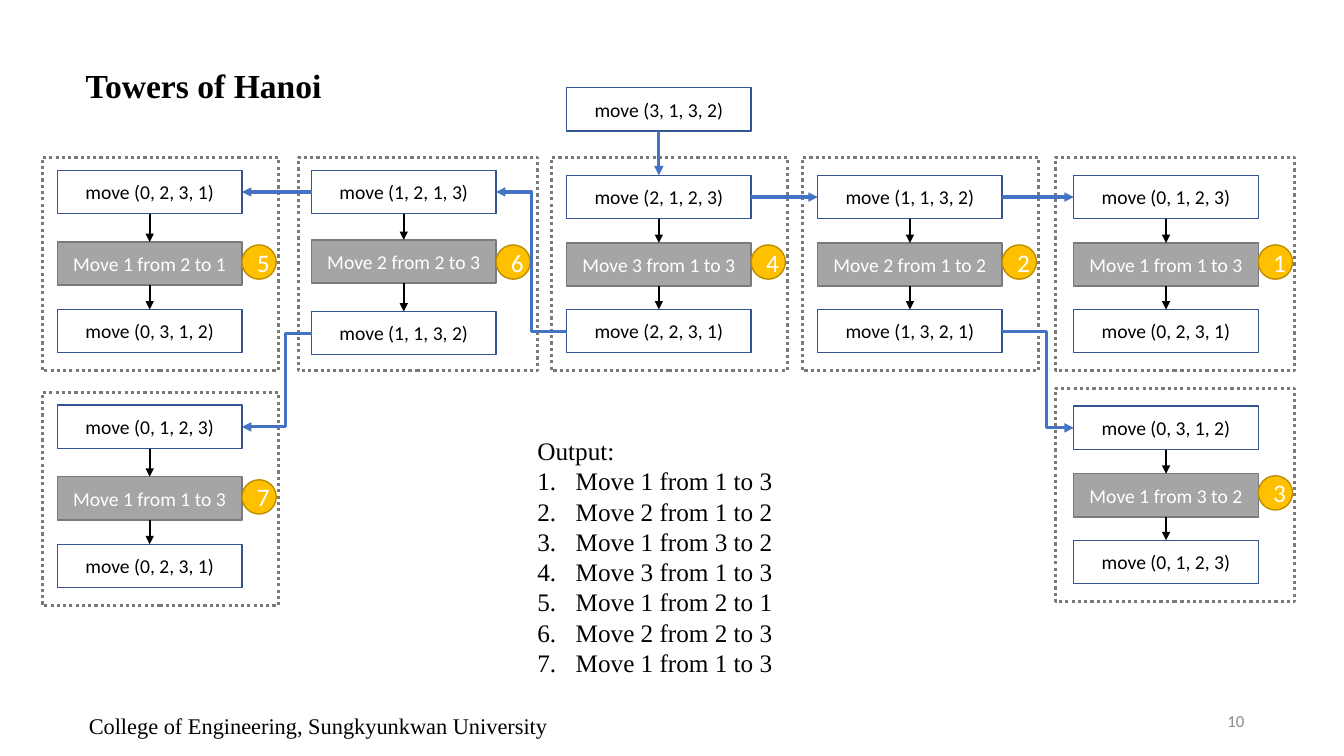
from dataclasses import dataclass
from pptx import Presentation
from pptx.dml.color import RGBColor as RGB
from pptx.enum.dml import MSO_LINE
from pptx.enum.shapes import MSO_CONNECTOR as CXN, MSO_SHAPE as SHAPE
from pptx.enum.text import MSO_ANCHOR as ANCHOR, MSO_AUTO_SIZE as FIT, PP_ALIGN as ALIGN
from pptx.oxml.ns import qn
from pptx.util import Inches, Pt


@dataclass(frozen=True)
class Theme:
    serif: str = "Times New Roman"
    sans: str = "Calibri"
    black: str = "000000"
    white: str = "FFFFFF"
    blue: str = "4472C4"
    navy: str = "325491"
    gray: str = "A5A5A5"
    dark_gray: str = "7A7A7A"
    page_gray: str = "8C8C8C"
    gold: str = "FFC000"
    dark_gold: str = "BD8E00"
    title: int = 24
    body: int = 18
    footer: int = 16
    box: int = 14
    page: int = 12


T = Theme()
TOP, LEFT, BOTTOM, RIGHT = range(4)  # connection sites of a rectangle
BOX_W, BOX_H = 1.83, 0.43
FRAME_H, BADGE, BADGE_DROP = 2.12, 0.34, 0.87


def apply(obj, values):
    for name, value in values.items():
        setattr(obj, name, value)


class SlideBuilder:
    def __init__(self, slide, theme):
        self.s, self.t = slide, theme

    def add_text(self, p, text, size, color, font, bold=False, align=ALIGN.LEFT):
        p.alignment = align
        r = p.add_run()
        r.text = text
        apply(r.font, {"size": Pt(size), "name": font, "bold": bold})
        r.font.color.rgb = RGB.from_string(color)

    def place(self, sp, *bounds):
        apply(sp, dict(zip(("left", "top", "width", "height"), map(Inches, bounds))))

    def title(self, text, *bounds):
        sp = self.s.shapes.title
        self.place(sp, *bounds)
        apply(sp.text_frame, {"word_wrap": False, "vertical_anchor": ANCHOR.TOP,
                              "auto_size": FIT.SHAPE_TO_FIT_TEXT})
        self.add_text(sp.text_frame.paragraphs[0], text, self.t.title, self.t.black,
                      self.t.serif, bold=True)

    def numbered_list(self, heading, items, *bounds):
        sp = self.s.placeholders[1]
        self.place(sp, *bounds)
        tf = sp.text_frame
        apply(tf, {"word_wrap": True, "auto_size": FIT.SHAPE_TO_FIT_TEXT})
        for i, text in enumerate([heading, *items]):
            p = tf.add_paragraph() if i else tf.paragraphs[0]
            self.add_text(p, text, self.t.body, self.t.black, self.t.serif)
            p.space_before = Pt(0)
            pPr = p._p.get_or_add_pPr()
            indent = Inches(0.38) if i else 0
            pPr.set("marL", str(indent))
            pPr.set("indent", str(-indent))
            if i:
                bullet = pPr.makeelement(qn("a:buAutoNum"), {"type": "arabicPeriod"})
            else:
                bullet = pPr.makeelement(qn("a:buNone"), {})
            pPr.append(bullet)

    def label(self, text, bounds, size, color, font, align, **frame):
        sp = self.s.shapes.add_textbox(*map(Inches, bounds))
        apply(sp.text_frame, frame)
        self.add_text(sp.text_frame.paragraphs[0], text, size, color, font, align=align)

    def shape(self, kind, bounds, line, width=1, fill=None, dash=None,
              text=None, size=None, color=None):
        sp = self.s.shapes.add_shape(kind, *map(Inches, bounds))
        sp.shadow.inherit = False
        if fill:
            sp.fill.solid()
            sp.fill.fore_color.rgb = RGB.from_string(fill)
        else:
            sp.fill.background()
        sp.line.color.rgb = RGB.from_string(line)
        sp.line.width = Pt(width)
        if dash:
            sp.line.dash_style = dash
        if text:
            sp.text_frame.vertical_anchor = ANCHOR.MIDDLE
            self.add_text(sp.text_frame.paragraphs[0], text, size, color, self.t.sans,
                          align=ALIGN.CENTER)
        return sp

    def call(self, text, x, y):
        return self.shape(SHAPE.RECTANGLE, (x, y, BOX_W, BOX_H), self.t.navy,
                          text=text, size=self.t.box, color=self.t.black)

    def step(self, text, x, y):
        return self.shape(SHAPE.RECTANGLE, (x, y, BOX_W, BOX_H), self.t.dark_gray,
                          fill=self.t.gray, text=text, size=self.t.box, color=self.t.white)

    def badge(self, number, x, y):
        self.shape(SHAPE.OVAL, (x, y, BADGE, BADGE), self.t.dark_gold, fill=self.t.gold,
                   text=str(number), size=self.t.body, color=self.t.white)

    def frame(self, *bounds):
        self.shape(SHAPE.RECTANGLE, bounds, self.t.dark_gray, 2.25, dash=MSO_LINE.ROUND_DOT)

    def arrow(self, start, start_site, end, end_site, color, width, bend=None):
        kind = CXN.ELBOW if bend else CXN.STRAIGHT
        cxn = self.s.shapes.add_connector(kind, 0, 0, 0, 0)
        cxn.begin_connect(start, start_site)
        cxn.end_connect(end, end_site)
        cxn.line.color.rgb = RGB.from_string(color)
        cxn.line.width = Pt(width)
        spPr = cxn._element.spPr
        ln = spPr.find(qn("a:ln"))
        ln.append(ln.makeelement(qn("a:tailEnd"), {"type": "triangle"}))
        spPr.append(spPr.makeelement(qn("a:effectLst"), {}))
        if bend:
            av = spPr.find(qn("a:prstGeom")).get_or_add_avLst()
            guide = {"name": "adj1", "fmla": f"val {round(bend * 100000)}"}
            av.append(av.makeelement(qn("a:gd"), guide))

    def stage(self, number, move, x, tops, calls, frame):
        """One dotted frame: first call, disk move, second call."""
        first = self.call(calls[0], x, tops[0])
        step = self.step(move, x, tops[1])
        last = self.call(calls[1], x, tops[2])
        for upper, lower in ((first, step), (step, last)):
            self.arrow(upper, BOTTOM, lower, TOP, self.t.black, 1.5)
        left, top, width = frame
        self.badge(number, x + BOX_W, top + BADGE_DROP)
        self.frame(left, top, width, FRAME_H)
        return first, last


prs = Presentation()
prs.slide_width, prs.slide_height = Inches(13.33), Inches(7.5)
b = SlideBuilder(prs.slides.add_slide(prs.slide_layouts[1]), T)

# Title, footer and page number
b.title("Towers of Hanoi", 0.75, 0.59, 2.56, 0.5)
b.label("College of Engineering, Sungkyunkwan University", (0.75, 7.02, 4.81, 0.37),
        T.footer, T.black, T.serif, ALIGN.CENTER,
        word_wrap=False, auto_size=FIT.SHAPE_TO_FIT_TEXT)
b.label("10", (9.44, 6.95, 3, 0.4), T.page, T.page_gray, T.sans, ALIGN.RIGHT,
        word_wrap=True, vertical_anchor=ANCHOR.MIDDLE)

# Disk moves in output order
MOVES = [f"Move {disk} from {a} to {c}" for disk, a, c in (
    (1, 1, 3), (2, 1, 2), (1, 3, 2), (3, 1, 3), (1, 2, 1), (2, 2, 3), (1, 1, 3))]

# Stages by move number: box x, box tops, calls, frame (left, top, width)
ROW = (1.74, 2.41, 3.07)
STAGES = {
    1: (10.65, ROW, ("move (0, 1, 2, 3)", "move (0, 2, 3, 1)"), (10.47, 1.56, 2.37)),
    2: (8.11, ROW, ("move (1, 1, 3, 2)", "move (1, 3, 2, 1)"), (7.96, 1.56, 2.34)),
    3: (10.65, (4.03, 4.7, 5.36), ("move (0, 3, 1, 2)", "move (0, 1, 2, 3)"),
        (10.47, 3.85, 2.37)),
    4: (5.62, ROW, ("move (2, 1, 2, 3)", "move (2, 2, 3, 1)"), (5.47, 1.56, 2.34)),
    5: (0.57, (1.69, 2.4, 3.07), ("move (0, 2, 3, 1)", "move (0, 3, 1, 2)"),
        (0.42, 1.56, 2.34)),
    6: (3.09, (1.69, 2.38, 3.09), ("move (1, 2, 1, 3)", "move (1, 1, 3, 2)"),
        (2.96, 1.56, 2.37)),
    7: (0.57, (4.02, 4.73, 5.4), ("move (0, 1, 2, 3)", "move (0, 2, 3, 1)"),
        (0.42, 3.89, 2.34)),
}
root = b.call("move (3, 1, 3, 2)", 5.62, 0.87)
first, last = {}, {}
for n, values in STAGES.items():
    first[n], last[n] = b.stage(n, MOVES[n - 1], *values)

# Recursive calls between stages
for start, start_site, end, end_site, bend in (
        (root, BOTTOM, first[4], TOP, None),
        (first[4], RIGHT, first[2], LEFT, None),
        (first[2], RIGHT, first[1], LEFT, None),
        (last[2], RIGHT, first[3], LEFT, 0.62),
        (last[4], LEFT, first[6], RIGHT, 0.5),
        (first[6], LEFT, first[5], RIGHT, None),
        (last[6], LEFT, first[7], RIGHT, 0.37)):
    b.arrow(start, start_site, end, end_site, T.blue, 2.25, bend)

# Output list
b.numbered_list("Output:", MOVES, 5.23, 4.27, 3.26, 2.52)

prs.save("out.pptx")
